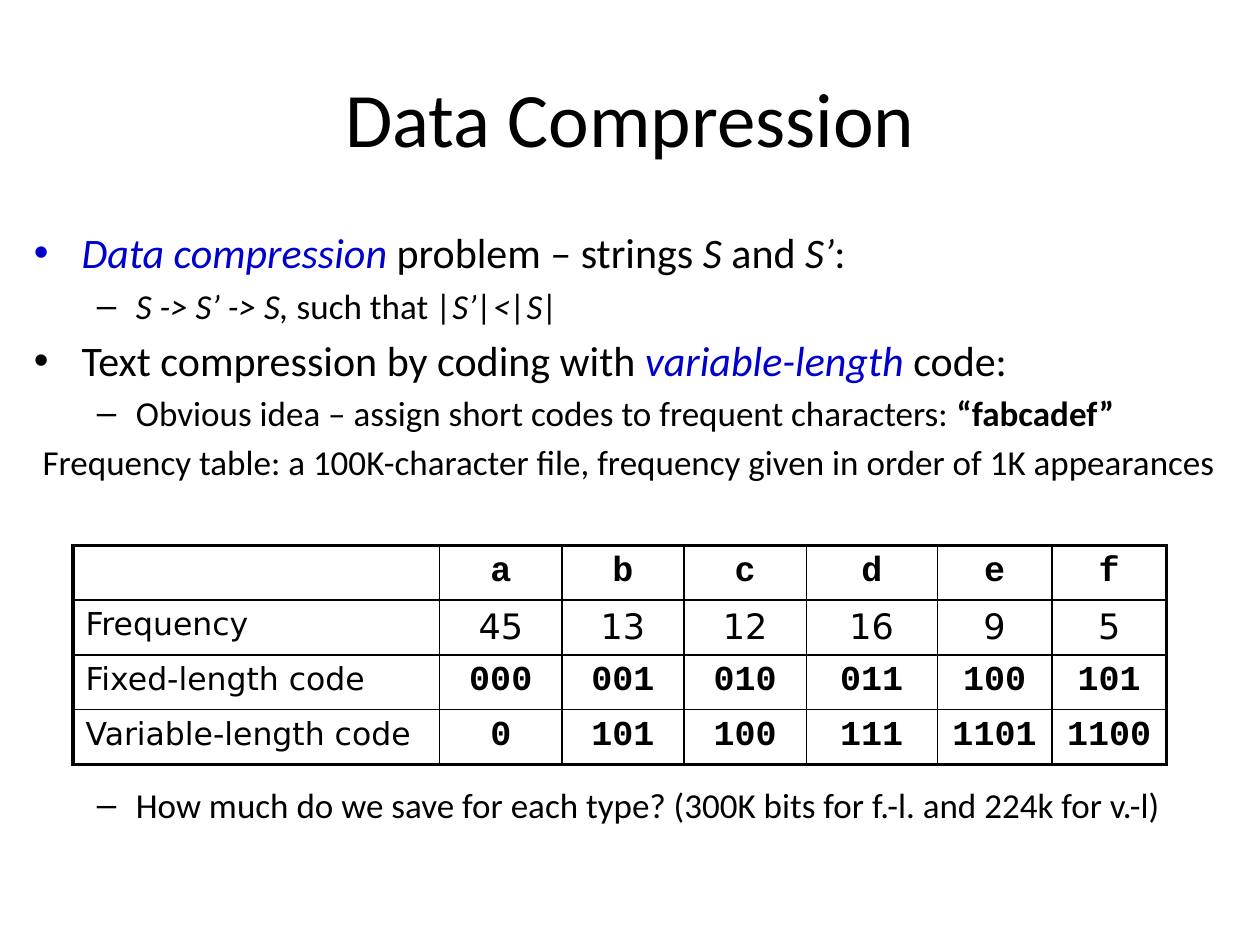
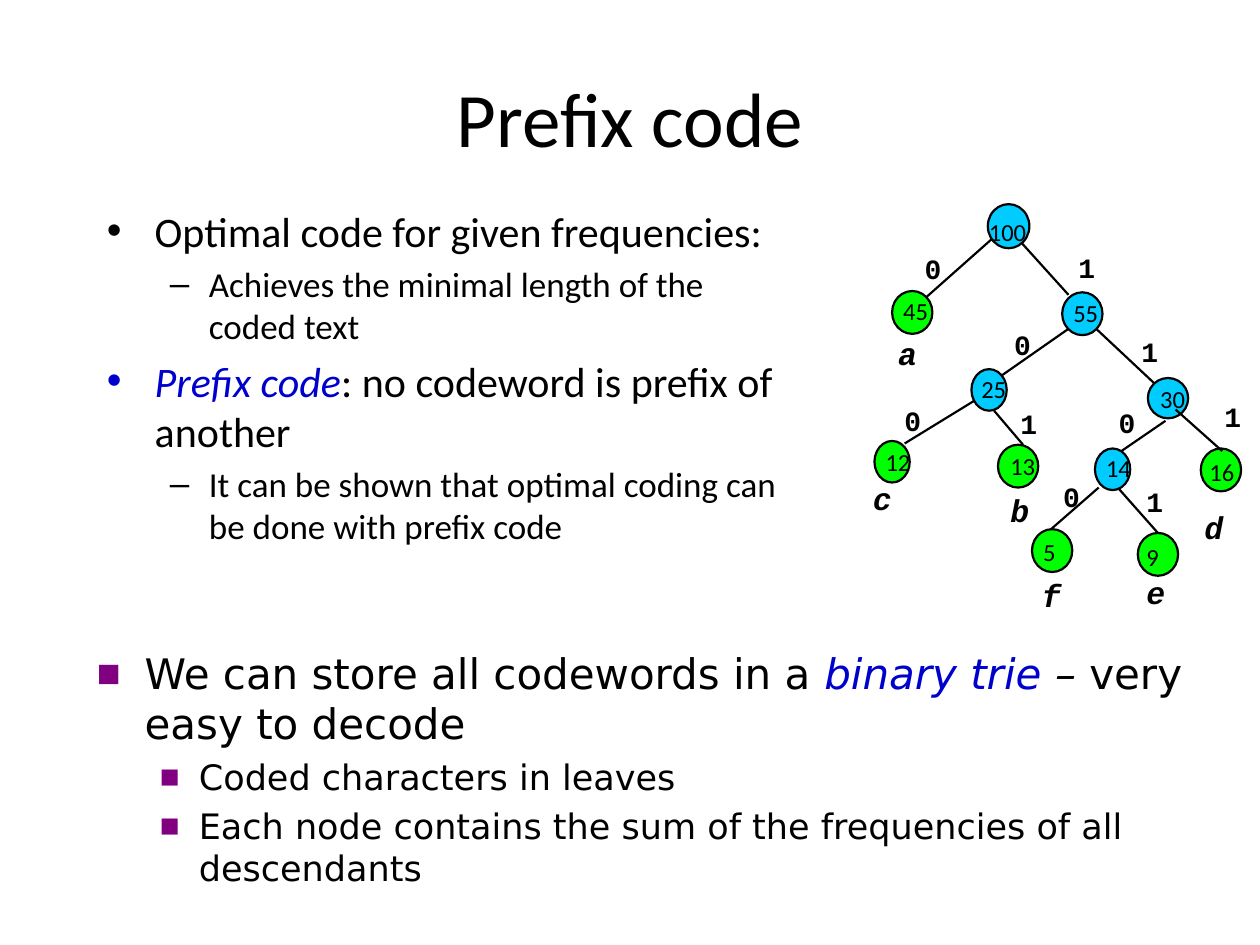
import lxml.etree
import pptx
import pptx.dml.color
import pptx.enum.shapes
import pptx.enum.text
import pptx.oxml.ns
import pptx.util

# Theme: colours, fonts, type sizes and line widths (points)
THEME = {
    "ink": "000000", "key": "0000CC", "square": "800080",
    "inner": "00CCFF", "leaf": "00FF00",
    "sans": "Calibri", "mono": "Courier New", "wide": "DejaVu Sans",
    "title": 44, "levels": (24, 20, 20), "cell": 20, "head": 18,
    "sum": 14, "bit": 16, "char": 18,
    "edge": 1.25, "frame": 2.25, "grid": 1,
}
SCALE = 9144  # EMU per px, 100 px to the inch
SIZE = (1000, 750)
TITLE = (50, 30, 900, 125)

# Left margin, first-line indent (px) and space before (pt) of each level
LEVELS = ((38, -38, 4.8), (81, -31, 4), (26, -19, 4))
DASHES = ("•", "–", None)
SQUARES = ("■", "■", None)

# A run is plain text or (text, style): i italic, b bold, k key term.
# A paragraph is (level, runs) or (level, runs, space before).
PROBLEM = [
    (0, [("Data compression ", "ki"), "problem – strings ", ("S", "i"),
         " and ", ("S’", "i"), ":"]),
    (1, [("S -> S’ -> S, ", "i"), "such that", (" |S’|<|S|", "i")]),
    (0, ["Text compression by coding with ", ("variable-length ", "ki"),
         "code:"]),
    (1, ["Obvious idea – assign short codes to frequent characters: ",
         ("“fabcadef”", "b")]),
    (2, ["Frequency table: a 100K-character file, frequency given in "
         "order of 1K appearances"]),
    (1, ["How much do we save for each type? "
         "(300K bits for f.-l. and 224k for v.-l)"], 172),
]
CODES = [
    ["", "a", "b", "c", "d", "e", "f"],
    ["Frequency", "45", "13", "12", "16", "9", "5"],
    ["Fixed-length code", "000", "001", "010", "011", "100", "101"],
    ["Variable-length code", "0", "101", "100", "111", "1101", "1100"],
]
COLS = (291, 97, 97, 97, 104, 91, 91)
ROW = 42

PREFIX = [
    (0, ["Optimal code for given frequencies:"]),
    (1, ["Achieves the minimal length of the coded text"]),
    (0, [("Prefix code", "ki"), ": no codeword is prefix of another"]),
    (1, ["It can be shown that optimal coding can be done with prefix code"]),
]
TRIE = [
    (0, ["We can store all codewords in a ", ("binary trie ", "ki"),
         ("– ", "i"), "very easy to decode"]),
    (1, ["Coded characters in leaves"]),
    (1, ["Each node contains the sum of the frequencies of all descendants"]),
]
# Sum, circle box, place of the sum
INNER = [
    ("100", (784, 162, 33, 35), (775, 167)),
    ("55", (843, 232, 32, 34), (842, 232)),
    ("25", (771, 293, 28, 33), (769, 292)),
    ("30", (911, 300, 32, 32), (911, 300)),
    ("14", (869, 356, 28, 33), (868, 355)),
]
LEAVES = [
    ("45", (708, 231, 32, 34), (707, 230)),
    ("12", (694, 350, 28, 33), (693, 350)),
    ("13", (792, 353, 32, 34), (792, 353)),
    ("16", (953, 356, 32, 34), (950, 358)),
    ("5", (819, 420, 32, 34), (818, 421)),
    ("9", (903, 423, 32, 34), (900, 425)),
]
CHARS = [("a", 703, 260), ("b", 792, 385), ("c", 683, 375),
         ("d", 946, 398), ("e", 900, 450), ("f", 817, 452)]
# Bit, its place, then the ends of its edge
BACK = [
    ("0", (724, 195), (788, 189, 735, 236)),
    ("1", (846, 194), (811, 193, 848, 234)),
    ("0", (795, 255), (848, 261, 795, 298)),
    ("1", (896, 261), (870, 261, 917, 305)),
    ("0", (708, 315), (775, 317, 718, 352)),
    ("1", (800, 318), (789, 326, 812, 353)),
    ("0", (878, 317), (925, 334, 890, 358)),
    ("0", (834, 376), (872, 387, 833, 421)),
]
FRONT = [
    ("1", (962, 312), (933, 325, 970, 358)),
    ("1", (900, 380), (888, 388, 919, 423)),
]


def emu(box):
    return [pptx.util.Emu(px * SCALE) for px in box]


def rgb(name):
    return pptx.dml.color.RGBColor.from_string(THEME[name])


def child(node, tag, **attrs):
    return lxml.etree.SubElement(node, pptx.oxml.ns.qn(tag), attrs)


def write(frame, paras, size=None, font="sans", style="", align="LEFT",
          marks=None):
    """Fill a text frame; marks gives the bullet of each level."""
    for num, (level, runs, *gap) in enumerate(paras):
        para = frame.paragraphs[0] if num == 0 else frame.add_paragraph()
        para.alignment = getattr(pptx.enum.text.PP_ALIGN, align)
        for run in runs:
            words, look = (run, "") if isinstance(run, str) else run
            look += style
            part = para.add_run()
            part.text = words
            part.font.name = THEME[font]
            part.font.size = pptx.util.Pt(
                THEME[size] if size else THEME["levels"][level])
            part.font.bold = "b" in look
            part.font.italic = "i" in look
            part.font.color.rgb = rgb("key" if "k" in look else "ink")
        if marks:
            mark(para, level, runs, marks[level])
            if num:
                para.space_before = pptx.util.Pt(
                    gap[0] if gap else LEVELS[level][2])


def mark(para, level, runs, sign):
    """Set indents and bullet; a dash or dot takes its first run's colour."""
    props = para._p.get_or_add_pPr()
    left, first = emu(LEVELS[level][:2])
    props.set("marL", str(left))
    props.set("indent", str(first))
    if not sign:
        child(props, "a:buNone")
        return
    square = sign == "■"
    key = isinstance(runs[0], tuple) and "k" in runs[0][1]
    tint = "square" if square else "key" if key else "ink"
    child(child(props, "a:buClr"), "a:srgbClr", val=THEME[tint])
    if square:
        child(props, "a:buSzPct", val="60000")
    child(props, "a:buFont",
          typeface=THEME["wide"] if square else "Arial")
    child(props, "a:buChar", char=sign)


def text(slide, box, paras, wrap=True, middle=False, **form):
    """Add a text box; a plain string makes one paragraph."""
    frame = slide.shapes.add_textbox(*emu(box)).text_frame
    frame.word_wrap = wrap
    if middle:
        frame.vertical_anchor = pptx.enum.text.MSO_ANCHOR.MIDDLE
    if isinstance(paras, str):
        paras = [(0, [paras])]
    write(frame, paras, **form)


def page(deck, title):
    slide = deck.slides.add_slide(deck.slide_layouts[6])
    text(slide, TITLE, title, size="title", align="CENTER", middle=True)
    return slide


def border(cell, row, col):
    """Draw thick lines on the outer frame and thin ones inside."""
    props = cell._tc.get_or_add_tcPr()
    outer = {"L": col == 0, "R": col == len(COLS) - 1,
             "T": row == 0, "B": row == len(CODES) - 1}
    for side, edge in outer.items():
        width = pptx.util.Pt(THEME["frame" if edge else "grid"])
        line = child(props, "a:ln" + side, w=str(int(width)))
        child(child(line, "a:solidFill"), "a:srgbClr", val=THEME["ink"])


def table(slide, left, top):
    box = (left, top, sum(COLS), ROW * len(CODES))
    grid = slide.shapes.add_table(len(CODES), len(COLS), *emu(box)).table
    grid.first_row = grid.horz_banding = False
    for col, width in zip(grid.columns, emu(COLS)):
        col.width = width
    for row, items in enumerate(CODES):
        grid.rows[row].height = emu([ROW])[0]
        for col, item in enumerate(items):
            cell = grid.cell(row, col)
            border(cell, row, col)
            cell.fill.background()
            if not item:
                continue
            plain = col == 0 or row == 1
            write(cell.text_frame, [(0, [item])],
                  size="cell" if col else "head",
                  font="wide" if plain else "mono",
                  style="" if plain else "b",
                  align="CENTER" if col else "LEFT")


def edges(slide, items):
    for _, _, ends in items:
        line = slide.shapes.add_connector(
            pptx.enum.shapes.MSO_CONNECTOR.STRAIGHT, *emu(ends))
        line.line.color.rgb = rgb("ink")
        line.line.width = pptx.util.Pt(THEME["edge"])
        child(line._element.spPr, "a:effectLst")


def nodes(slide, items, fill):
    for total, box, spot in items:
        disc = slide.shapes.add_shape(
            pptx.enum.shapes.MSO_SHAPE.OVAL, *emu(box))
        disc.shadow.inherit = False
        disc.fill.solid()
        disc.fill.fore_color.rgb = rgb(fill)
        disc.line.color.rgb = rgb("ink")
        disc.line.width = pptx.util.Pt(THEME["edge"])
        text(slide, (*spot, 20 + 10 * len(total), 34), total,
             wrap=False, size="sum")


def tree(slide):
    edges(slide, BACK)
    nodes(slide, INNER, "inner")
    nodes(slide, LEAVES, "leaf")
    edges(slide, FRONT)
    for bit, spot, _ in BACK + FRONT:
        text(slide, (*spot, 34, 37), bit, wrap=False,
             size="bit", font="mono", style="b")
    for char, left, top in CHARS:
        text(slide, (left, top, 35, 40), char, wrap=False,
             size="char", font="mono", style="bi")


def main():
    deck = pptx.Presentation()
    deck.slide_width, deck.slide_height = emu(SIZE)

    slide = page(deck, "Data Compression")
    text(slide, (17, 175, 958, 545), PROBLEM, marks=DASHES)
    table(slide, 58, 433)

    slide = page(deck, "Prefix code")
    text(slide, (75, 158, 567, 376), PREFIX, marks=DASHES)
    tree(slide)
    text(slide, (67, 509, 912, 173), TRIE, font="wide", marks=SQUARES)

    deck.save("out.pptx")


if __name__ == "__main__":
    main()
